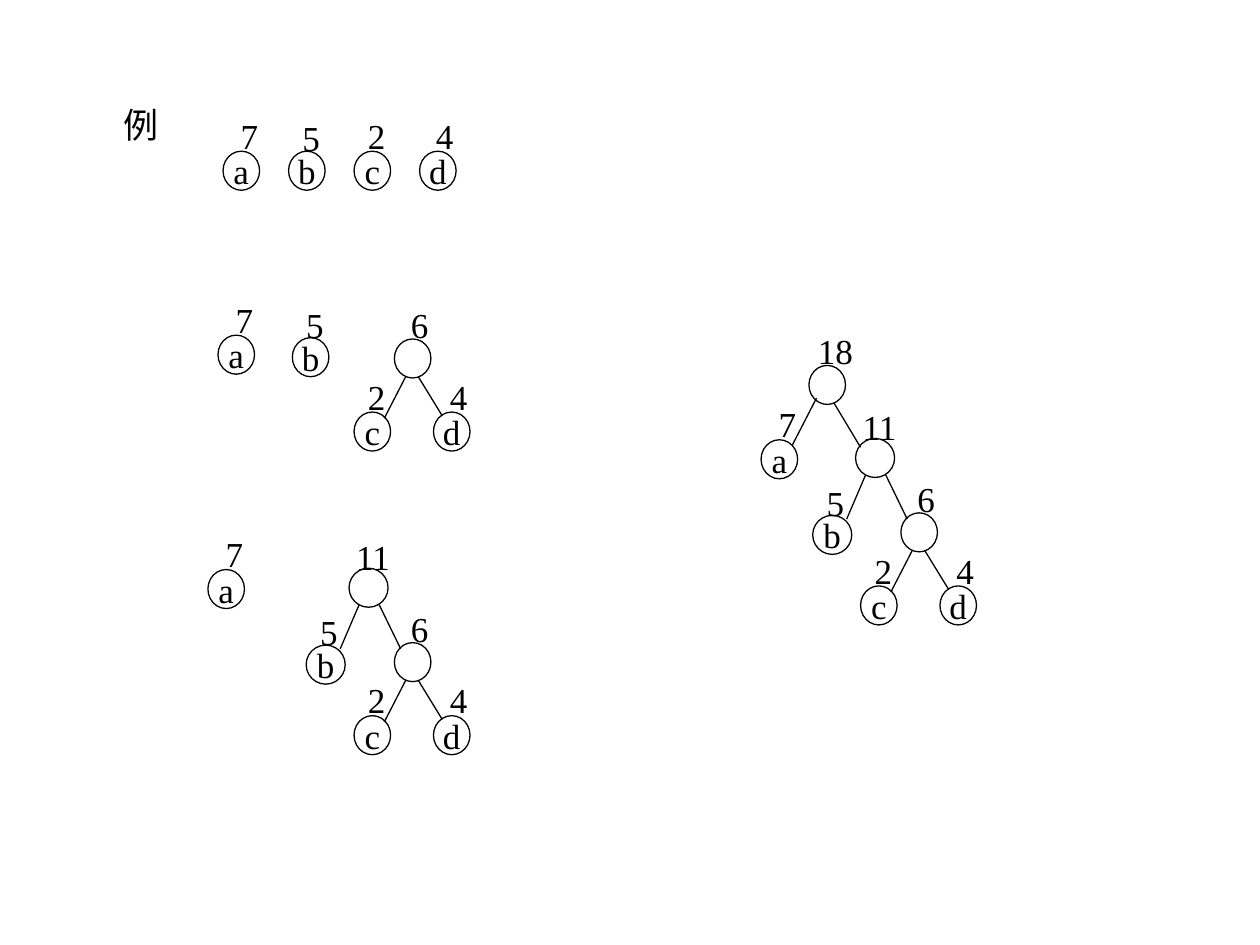
from lxml.etree import SubElement
from pptx import Presentation
from pptx.dml.color import RGBColor
from pptx.enum.shapes import MSO_CONNECTOR, MSO_SHAPE
from pptx.enum.text import MSO_ANCHOR, MSO_AUTO_SIZE, PP_ALIGN
from pptx.oxml.ns import qn
from pptx.util import Inches, Pt

BLACK = "000000"
DIAMETER = 0.29
WIDE = 0.31

# weight: (letter, label offset from the circle's top left corner)
NODES = {
    7: ("a", 0.04, -0.34),
    5: ("b", 0.01, -0.32),
    2: ("c", 0.01, -0.34),
    4: ("d", 0.03, -0.34),
    6: ("", 0.03, -0.33),
    11: ("", -0.05, -0.31),
    18: ("", -0.03, -0.33),
}


def rgb(color):
    return RGBColor.from_string(color)


def write(sp, text, size=20, font="Times New Roman", color=BLACK):
    tf = sp.text_frame
    tf.word_wrap = False
    tf.vertical_anchor = MSO_ANCHOR.MIDDLE
    p = tf.paragraphs[0]
    p.alignment = PP_ALIGN.CENTER
    r = p.add_run()
    r.text = text
    r.font.size = Pt(size)
    r.font.name = font
    r.font.color.rgb = rgb(color)


def add_label(shapes, x, y, text, w=0.34):
    box = shapes.add_textbox(Inches(x), Inches(y), Inches(w), Inches(0.43))
    write(box, text)
    box.text_frame.auto_size = MSO_AUTO_SIZE.SHAPE_TO_FIT_TEXT


def add_node(shapes, x, y, weight, w=DIAMETER):
    """Circle with its top left corner at (x, y) and its weight above it."""
    letter, dx, dy = NODES[weight]
    sp = shapes.add_shape(MSO_SHAPE.OVAL, Inches(x), Inches(y), Inches(w), Inches(0.31))
    sp.shadow.inherit = False
    sp.fill.background()
    sp.line.color.rgb = rgb(BLACK)
    sp.line.width = Pt(0.75)
    if letter:
        write(sp, letter)
    add_label(shapes, x + dx, y + dy, str(weight), 0.34 if weight < 10 else 0.48)


def add_edge(shapes, x, y, start, end):
    """Line between two offsets from the parent's top left corner (x, y)."""
    (x1, y1), (x2, y2) = start, end
    line = shapes.add_connector(MSO_CONNECTOR.STRAIGHT, Inches(x + x1), Inches(y + y1),
                                Inches(x + x2), Inches(y + y2))
    line.line.color.rgb = rgb(BLACK)
    line.line.width = Pt(0.75)
    SubElement(line._element.spPr, qn("a:effectLst"))


def add_tree_6(shapes, x, y):
    add_node(shapes, x - 0.32, y + 0.58, 2)
    add_node(shapes, x + 0.31, y + 0.58, 4)
    add_node(shapes, x, y, 6)
    add_edge(shapes, x, y, (0.09, 0.3), (-0.08, 0.63))
    add_edge(shapes, x, y, (0.19, 0.3), (0.38, 0.61))


def add_tree_11(shapes, x, y):
    add_node(shapes, x - 0.34, y + 0.61, 5, WIDE)
    add_tree_6(shapes, x + 0.36, y + 0.59)
    add_node(shapes, x, y, 11, WIDE)
    add_edge(shapes, x, y, (0.08, 0.29), (-0.07, 0.64))
    add_edge(shapes, x, y, (0.24, 0.29), (0.41, 0.64))


def add_tree_18(shapes, x, y):
    add_node(shapes, x - 0.38, y + 0.59, 7)
    add_tree_11(shapes, x + 0.37, y + 0.58)
    add_node(shapes, x, y, 18)
    add_edge(shapes, x, y, (0.06, 0.26), (-0.13, 0.63))
    add_edge(shapes, x, y, (0.2, 0.3), (0.41, 0.65))


def add_leaves(shapes, x, y):
    add_label(shapes, x - 0.89, y - 0.43, "例", 0.48)
    for i, weight in enumerate((7, 5, 2, 4)):
        add_node(shapes, x + 0.52 * i, y, weight)


def add_first_merge(shapes, x, y):
    add_node(shapes, x, y, 7)
    add_node(shapes, x + 0.59, y + 0.02, 5)
    add_tree_6(shapes, x + 1.4, y + 0.03)


def add_second_merge(shapes, x, y):
    add_node(shapes, x, y, 7)
    add_tree_11(shapes, x + 1.12, y - 0.01)


def main():
    prs = Presentation()
    prs.slide_width, prs.slide_height = Inches(10), Inches(7.5)
    s = prs.slides.add_slide(prs.slide_layouts[6])
    steps = (
        (add_leaves, 1.77, 1.2),
        (add_first_merge, 1.73, 2.66),
        (add_second_merge, 1.65, 4.52),
        (add_tree_18, 6.42, 2.9),
    )
    for add_step, x, y in steps:
        add_step(s.shapes.add_group_shape().shapes, x, y)
    prs.save("out.pptx")


if __name__ == "__main__":
    main()
